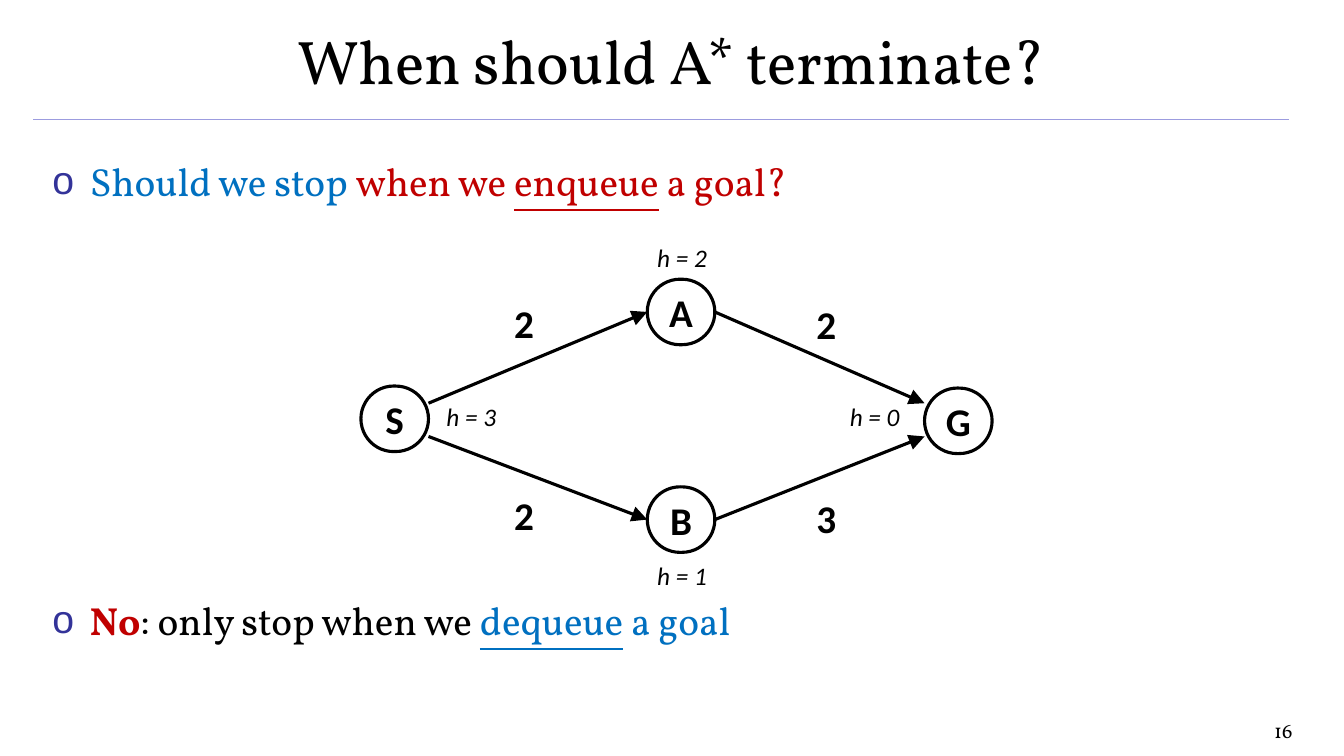
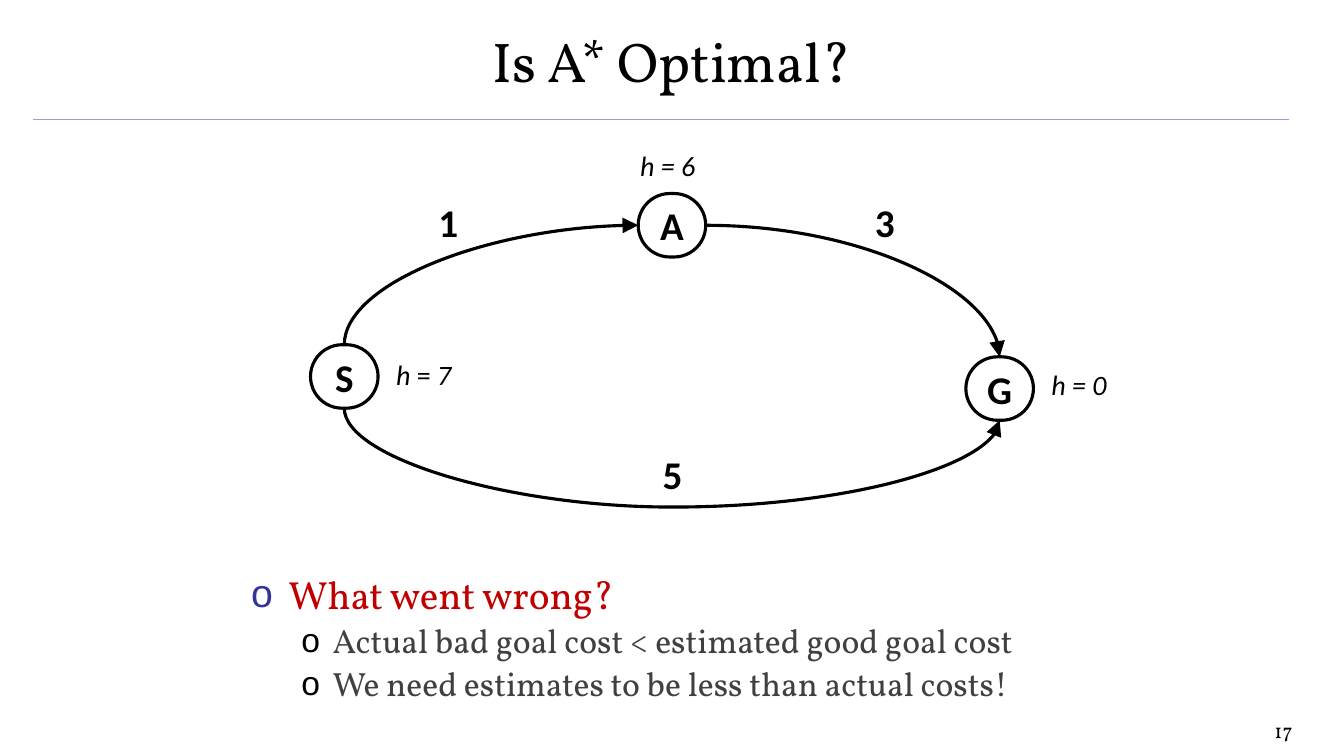
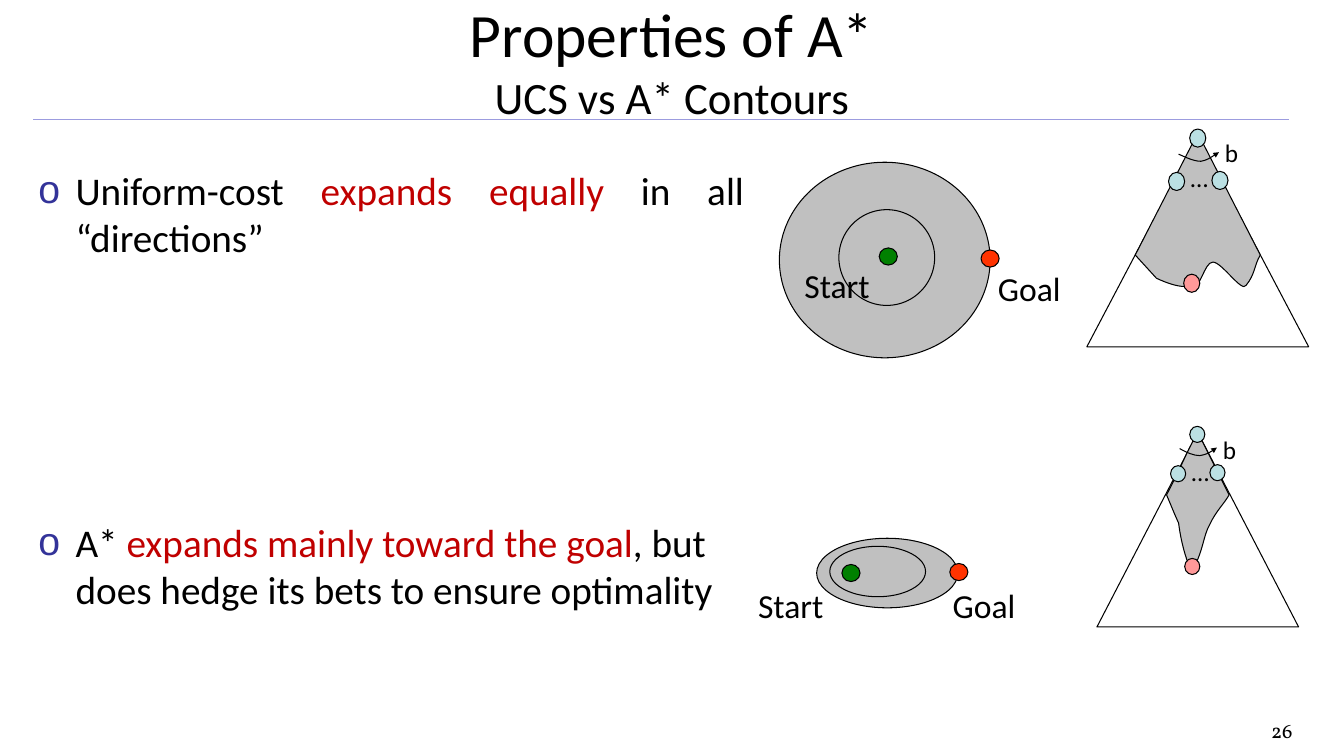
from lxml import etree
from pptx import Presentation
from pptx import util as u
from pptx.dml.color import RGBColor
from pptx.enum import shapes as kinds, text as txt
from pptx.oxml.ns import qn

PX = 9144  # one px is a hundredth of an inch
BLACK = RGBColor(0x00, 0x00, 0x00)
DARK = RGBColor(0x40, 0x40, 0x40)
RED = RGBColor(0xC0, 0x00, 0x00)
BLUE = RGBColor(0x00, 0x70, 0xC0)
INDIGO = RGBColor(0x33, 0x33, 0x99)
LILAC = RGBColor(0x9C, 0x9C, 0xDF)
GRAY = RGBColor(0xC0, 0xC0, 0xC0)
START_GREEN = RGBColor(0x00, 0x80, 0x00)
GOAL_RED = RGBColor(0xFF, 0x33, 0x00)
PALE_BLUE = RGBColor(0xBB, 0xE0, 0xE3)
PINK = RGBColor(0xFF, 0x99, 0x99)
SERIF, SANS = "Vollkorn", "Calibri"
TOP, LEFT, BOTTOM, RIGHT = range(4)
SHAPE = kinds.MSO_SHAPE
THIN, THICK = 0.75, 2.25


def px(*lengths):
    return [u.Emu(length * PX) for length in lengths]


def add_run(paragraph, words, size, font=SANS, color=BLACK, bold=False,
            italic=False, underline=False):
    run = paragraph.add_run()
    run.text = words
    run.font.size = u.Pt(size)
    run.font.name = font
    run.font.color.rgb = color
    run.font.bold, run.font.italic = bold, italic
    run.font.underline = underline


def set_insets(frame, side, upright):
    frame.margin_left, frame.margin_right = px(side, side)
    frame.margin_top, frame.margin_bottom = px(upright, upright)


def add_label(shapes, box, words, size, align=txt.PP_ALIGN.LEFT, insets=(10, 5), **look):
    frame = shapes.add_textbox(*px(*box)).text_frame
    frame.word_wrap = True
    set_insets(frame, *insets)
    frame.paragraphs[0].alignment = align
    add_run(frame.paragraphs[0], words, size, **look)
    return frame.paragraphs[0]


def paint(shape, fill, width):
    shape.shadow.inherit = False
    if fill is None:
        shape.fill.background()
    else:
        shape.fill.solid()
        shape.fill.fore_color.rgb = fill
    shape.line.color.rgb = BLACK
    shape.line.width = u.Pt(width)


def add_arrowhead(shape, size="lg"):
    line = shape._element.spPr.find(qn("a:ln"))
    etree.SubElement(line, qn("a:tailEnd"), type="triangle", w=size, len=size)


def add_line(slide, ends, kind=kinds.MSO_CONNECTOR.STRAIGHT, color=BLACK, width=THICK):
    line = slide.shapes.add_connector(kind, *px(*ends))
    line.line.color.rgb = color
    line.line.width = u.Pt(width)
    etree.SubElement(line._element.spPr, qn("a:effectLst"))
    return line


# ---- shared look ----

def prepare_layout(deck):
    """Format the title and body that all slides inherit."""
    layout = deck.slide_layouts[1]
    title = layout.placeholders[0]
    title.left, title.top, title.width, title.height = px(0, -3, 1333, 125)
    title.text_frame.vertical_anchor = txt.MSO_ANCHOR.MIDDLE
    for holder in (title, layout.placeholders[1]):
        set_insets(holder.text_frame, 7, 4)
        holder.text_frame.auto_size = txt.MSO_AUTO_SIZE.NONE
    return layout


def move_rule_to_layout(slide, layout):
    rule = add_line(slide, (33, 119, 1278, 119), color=LILAC, width=THIN)
    layout.shapes._spTree.append(rule._element)


def add_slide(deck, layout, number, *title_lines, font=SERIF):
    slide = deck.slides.add_slide(layout)
    heading = slide.shapes.title.text_frame.paragraphs[0]
    heading.alignment = txt.PP_ALIGN.CENTER
    for index, (words, size) in enumerate(title_lines):
        if index:
            heading.add_line_break()
        add_run(heading, words, size, font)
    add_label(slide.shapes, (1056, 708, 233, 32), number, 14.7,
              txt.PP_ALIGN.RIGHT, (7, 4), font=SERIF)
    return slide


def fill_body(slide, box, font, points, line_spacing=None):
    """Each point is (level, space before or None, alignment, runs)."""
    body = slide.placeholders[1]
    body.left, body.top, body.width, body.height = px(*box)
    frame = body.text_frame
    for index, (level, gap, align, runs) in enumerate(points):
        point = frame.add_paragraph() if index else frame.paragraphs[0]
        point.level = level
        point.alignment = align
        margin, hang, size, bullet = ((37, 37, 28, INDIGO), (81, 31, 24, BLACK))[level]
        props = point._p.get_or_add_pPr()
        props.set("marL", str(margin * PX))
        props.set("indent", str(-hang * PX))
        bullet_color = etree.SubElement(props, qn("a:buClr"))
        etree.SubElement(bullet_color, qn("a:srgbClr"), val=str(bullet))
        etree.SubElement(props, qn("a:buChar"), char="o")
        if gap is not None:
            point.space_before = u.Pt(gap)
        if line_spacing:
            point.line_spacing = line_spacing
        for words, look in runs:
            add_run(point, words, size, font, **look)


# ---- state graphs ----

def add_nodes(slide, places, height):
    nodes = {}
    for name, (left, top) in places.items():
        node = slide.shapes.add_shape(SHAPE.ROUNDED_RECTANGLE, *px(left, top, 67, height))
        node.adjustments[0] = 0.5
        paint(node, None, THICK)
        frame = node.text_frame
        frame.word_wrap = False
        frame.vertical_anchor = txt.MSO_ANCHOR.MIDDLE
        frame.paragraphs[0].alignment = txt.PP_ALIGN.CENTER
        add_run(frame.paragraphs[0], name, 28, bold=True)
        nodes[name] = node
    return nodes


def add_costs(slide, costs):
    for left, top, cost in costs:
        add_label(slide.shapes, (left, top, 50, 57), cost, 28, bold=True)


def add_estimates(slide, size, height, estimates):
    for left, top, words in estimates:
        add_label(slide.shapes, (left, top, 100, height), words, size, italic=True)


def add_curved_edge(slide, source, source_side, target, target_side,
                    turn=0, flips=(), dip=None):
    """Quarter curve, or with dip a bow that far below its start."""
    edge = add_line(slide, (0, 0, 1, 1), kinds.MSO_CONNECTOR.CURVE)
    edge.begin_connect(source, source_side)
    edge.end_connect(target, target_side)
    left, top, width, height = edge.left, edge.top, edge.width, edge.height
    if turn:  # a quarter turn swaps the sides around the same centre
        left, top = left + (width - height) // 2, top + (height - width) // 2
        width, height = height, width
    edge.left, edge.top, edge.width, edge.height = left, top, width, height
    frame = edge._element.spPr.find(qn("a:xfrm"))
    for flip in ("flipH", "flipV"):
        frame.set(flip, str(int(flip in flips)))
    frame.set("rot", str(turn * 60000))
    preset = edge._element.spPr.find(qn("a:prstGeom"))
    if dip is None:
        preset.set("prst", "curvedConnector2")
    else:
        guides = preset.find(qn("a:avLst"))
        if guides is None:
            guides = etree.SubElement(preset, qn("a:avLst"))
        bow = round(dip * PX / width * 100000)
        etree.SubElement(guides, qn("a:gd"), name="adj1", fmla=f"val {bow}")
    add_arrowhead(edge)


# ---- contours and search trees ----

def add_ellipse(shapes, box, fill=None):
    paint(shapes.add_shape(SHAPE.OVAL, *px(*box)), fill, THIN)


def add_contours(slide, outer, inner, start, goal, start_label, goal_label):
    shapes = slide.shapes.add_group_shape().shapes
    add_ellipse(shapes, outer, GRAY)
    add_ellipse(shapes, inner)
    for words, dot, place, color in (("Start", start, start_label, START_GREEN),
                                     ("Goal", goal, goal_label, GOAL_RED)):
        add_ellipse(shapes, (*dot, 18, 17), color)
        add_label(shapes, (*place, 100, 50), words, 24)


def add_outline(shapes, start, steps, fill=None, close=True):
    """Each step is one point (a line) or three points (a Bézier curve)."""
    builder = shapes.build_freeform(*px(*start))
    builder.add_line_segments([px(*point) for step in steps for point in step], close=close)
    outline = builder.convert_to_shape()
    drawn = iter(list(outline._element.iter(qn("a:lnTo"))))
    for step in steps:
        lines = [next(drawn) for _ in step]
        if len(step) == 3:
            curve = etree.Element(qn("a:cubicBezTo"))
            lines[0].addprevious(curve)
            for line in lines:
                curve.append(line[0])
                line.getparent().remove(line)
    paint(outline, fill, THIN)
    return outline


def add_tree(slide, triangle, explored, branching, dot, children, root, goal, dots, b):
    shapes = slide.shapes.add_group_shape().shapes
    paint(shapes.add_shape(SHAPE.ISOSCELES_TRIANGLE, *px(*triangle)), None, THIN)
    add_outline(shapes, *explored, fill=GRAY)
    for child in children:
        add_ellipse(shapes, (*child, *dot), PALE_BLUE)
    add_label(shapes, (*dots, 25, 37), "…", 18)
    add_arrowhead(add_outline(shapes, *branching, close=False), "sm")
    add_label(shapes, (*b, 27, 37), "b", 18)
    add_ellipse(shapes, (*goal, *dot), PINK)
    add_ellipse(shapes, (*root, *dot), PALE_BLUE)


# ---- slides ----

def fill_termination(slide):
    red, blue = {"color": RED}, {"color": BLUE}
    fill_body(slide, (45, 152, 1244, 556), SERIF, [
        (0, None, None, [("Should we stop ", blue), ("when we ", red),
                         ("enqueue", {**red, "underline": True}), (" a goal?", red)]),
        (0, 280, None, [("No", {**red, "bold": True}), (": only stop when we ", {}),
                        ("dequeue", {**blue, "underline": True}), (" a goal", blue)]),
    ])
    nodes = add_nodes(slide, {"S": (358, 383), "B": (642, 483),
                              "A": (642, 277), "G": (917, 385)}, 65)
    for name, upper in (("A", 400), ("B", 433)):
        edge_in = add_line(slide, (425, upper, 642, upper))
        edge_in.end_connect(nodes[name], LEFT)
        edge_out = add_line(slide, (709, upper, 917, upper))
        edge_out.begin_connect(nodes[name], RIGHT)
        add_arrowhead(edge_in)
        add_arrowhead(edge_out)
    add_costs(slide, [(500, 292, "2"), (800, 293, "2"), (500, 483, "2"), (800, 485, "3")])
    add_estimates(slide, 18, 40, [(642, 551, "h = 1"), (642, 235, "h = 2"),
                                  (833, 393, "h = 0"), (433, 393, "h = 3")])


def fill_optimality(slide):
    gray = {"color": DARK}
    fill_body(slide, (242, 567, 1047, 103), SERIF, [
        (0, None, None, [("What went wrong?", {"color": RED})]),
        (1, None, None, [("Actual bad goal cost < estimated good goal cost", gray)]),
        (1, None, None, [("We need estimates to be less than actual costs!", gray)]),
    ], line_spacing=0.9)
    nodes = add_nodes(slide, {"A": (633, 192), "G": (958, 354), "S": (308, 342)}, 63)
    add_costs(slide, [(425, 192, "1"), (858, 192, "3")])
    add_label(slide.shapes, (625, 442, 84, 57), "5", 28, txt.PP_ALIGN.CENTER, bold=True)
    add_estimates(slide, 20, 44, [(625, 142, "h = 6"), (1033, 360, "h = 0")])
    estimate = add_label(slide.shapes, (383, 350, 83, 44), "h", 20, italic=True)
    add_run(estimate, " = ", 20)
    add_run(estimate, "7", 20, italic=True)
    add_curved_edge(slide, nodes["S"], BOTTOM, nodes["G"], BOTTOM, 270, ("flipH",), dip=98)
    add_curved_edge(slide, nodes["S"], TOP, nodes["A"], LEFT, 90, ("flipH", "flipV"))
    add_curved_edge(slide, nodes["A"], RIGHT, nodes["G"], TOP)


def fill_properties(slide):
    red = {"color": RED}
    fill_body(slide, (31, 161, 714, 495), SANS, [
        (0, None, txt.PP_ALIGN.JUSTIFY, [("Uniform-cost ", {}), ("expands equally", red),
                                         (" in all “directions”", {})]),
        (0, 184, None, [("A* ", {}), ("expands mainly toward the goal", red),
                        (", but does hedge its bets to ensure optimality", {})]),
    ])
    add_contours(slide, outer=(773, 161, 209, 194), inner=(832, 208, 95, 95),
                 start=(872, 246), goal=(973, 248),
                 start_label=(788, 258), goal_label=(980, 261))
    add_contours(slide, outer=(810, 534, 140, 69), inner=(823, 542, 95, 50),
                 start=(835, 560), goal=(942, 559),
                 start_label=(742, 575), goal_label=(935, 575))
    add_tree(slide, (1078, 135, 220, 209),
             explored=((1188, 132), [
                 [(1126, 253)], [(1147, 276)],
                 [(1147, 276), (1171, 288), (1181, 283)],
                 [(1191, 289), (1194, 260), (1203, 260)],
                 [(1212, 260), (1232, 291), (1236, 283)],
                 [(1245, 272), (1244, 263), (1250, 253)]]),
             branching=((1169, 153), [[(1176, 156), (1184, 160), (1191, 160)],
                                      [(1197, 159), (1203, 155), (1209, 151)]]),
             dot=(16, 18), children=[(1159, 171), (1202, 170)],
             root=(1180, 128), goal=(1174, 272), dots=(1171, 156), b=(1205, 131))
    add_tree(slide, (1088, 429, 200, 193),
             explored=((1188, 429), [
                 [(1176, 450), (1176, 454), (1157, 491)],
                 [(1163, 505), (1164, 508), (1169, 519)],
                 [(1169, 519), (1172, 547), (1182, 567)],
                 [(1194, 546), (1193, 532), (1200, 520)],
                 [(1206, 507), (1214, 500), (1219, 491)],
                 [(1200, 453), (1196, 445), (1188, 429)]]),
             branching=((1170, 445), [[(1177, 449), (1184, 452), (1190, 452)],
                                      [(1196, 451), (1202, 448), (1207, 444)]]),
             dot=(15, 16), children=[(1161, 462), (1200, 461)],
             root=(1180, 423), goal=(1175, 554), dots=(1172, 448), b=(1203, 426))


def main():
    deck = Presentation()
    deck.slide_width, deck.slide_height = px(1333, 750)
    layout = prepare_layout(deck)
    termination = add_slide(deck, layout, "16", ("When should A* terminate?", 44))
    move_rule_to_layout(termination, layout)
    fill_termination(termination)
    fill_optimality(add_slide(deck, layout, "17", ("Is A* Optimal?", 40)))
    fill_properties(add_slide(deck, layout, "26", ("Properties of A*", 44),
                              ("UCS vs A* Contours", 32), font=SANS))
    deck.save("out.pptx")


if __name__ == "__main__":
    main()
